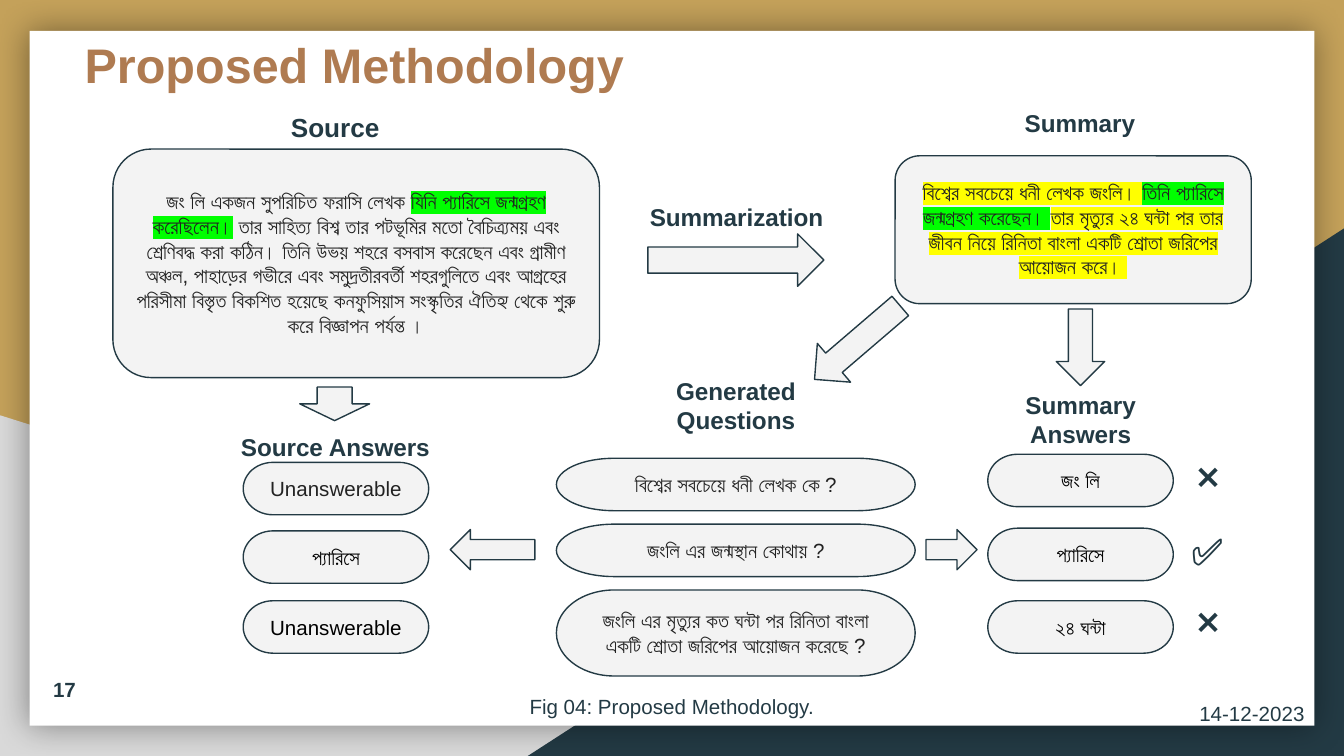
from lxml import etree
from pptx import Presentation
from pptx import util as u
from pptx.dml.color import RGBColor
from pptx.enum import shapes, text
from pptx.oxml import ns

PX = 9144
INK, PALE, GREY = "233A44", "F3F3F3", "222222"
LIME, SUN = "00FF00", "FFFF00"
KIND = shapes.MSO_SHAPE
hue = RGBColor.from_string


def draw(kind, box, fill=PALE, line=INK):
    item = page.shapes.add_shape(kind, *[n * PX for n in box])
    item.shadow.inherit = False
    item.fill.solid()
    item.fill.fore_color.rgb = hue(fill)
    if line:
        item.line.color.rgb = hue(line)
        item.line.width = u.Pt(0.75)
    else:
        item.line.fill.background()
    return item


def write(item, runs, size=11, bold=False, side=text.PP_ALIGN.CENTER,
          anchor=text.MSO_ANCHOR.MIDDLE, inset=10):
    frame = item.text_frame
    frame.word_wrap = True
    frame.auto_size = text.MSO_AUTO_SIZE.NONE
    frame.vertical_anchor = anchor
    frame.margin_left = frame.margin_right = inset * PX
    frame.margin_top = frame.margin_bottom = 10 * PX
    para = frame.paragraphs[0]
    para.alignment = side
    for words, color, mark in runs:
        run = para.add_run()
        run.text = words
        font = run.font
        font.size = u.Pt(size)
        font.bold = bold
        font.color.rgb = hue(color)
        props = run._r.get_or_add_rPr()
        if mark:
            high = etree.SubElement(props, ns.qn("a:highlight"))
            etree.SubElement(high, ns.qn("a:srgbClr"), val=mark)
        font.name = "Arial"
        for tag in ("a:ea", "a:cs"):
            etree.SubElement(props, ns.qn(tag), typeface="Arial")


deck = Presentation()
deck.slide_width = 1000 * PX
deck.slide_height = u.Inches(5.625)
page = deck.slides.add_slide(deck.slide_layouts[5])
page.background.fill.solid()
page.background.fill.fore_color.rgb = hue("C4A15A")

draw(KIND.RIGHT_TRIANGLE, (0, 309, 806, 254), "D9D9D9", None)
wedge = draw(KIND.RIGHT_TRIANGLE, (392, 170, 608, 393), INK, None)
wedge._element.spPr.find(ns.qn("a:xfrm")).set("flipH", "1")
sheet = draw(KIND.RECTANGLE, (22, 23, 956, 517), "FFFFFF", None)
glow = etree.SubElement(sheet._element.spPr.find(ns.qn("a:effectLst")),
                        ns.qn("a:outerShdw"), blurRad=str(u.Pt(18)), dist="0",
                        algn="ctr", rotWithShape="0")
shade = etree.SubElement(glow, ns.qn("a:srgbClr"), val="000000")
etree.SubElement(shade, ns.qn("a:alpha"), val="40000")

title = page.shapes.title
title.left, title.top, title.width, title.height = [n * PX for n in (53, 22, 447, 57)]
write(title, [("Proposed Methodology", "AF7B51", None)], 26, True,
      text.PP_ALIGN.LEFT, text.MSO_ANCHOR.BOTTOM)
page.shapes._spTree.append(title._element)

source = [
    ("জং লি একজন সুপরিচিত ফরাসি লেখক ", GREY, PALE),
    ("যিনি প্যারিসে জন্মগ্রহণ করেছিলেন।", GREY, LIME),
    (" তার সাহিত্য বিশ্ব তার পটভূমির মতো বৈচিত্র্যময় এবং শ্রেণিবদ্ধ করা কঠিন। "
     "তিনি উভয় শহরে বসবাস করেছেন এবং গ্রামীণ অঞ্চল, পাহাড়ের গভীরে এবং "
     "সমুদ্রতীরবর্তী শহরগুলিতে এবং আগ্রহের পরিসীমা বিস্তৃত বিকশিত হয়েছে "
     "কনফুসিয়াস সংস্কৃতির ঐতিহ্য থেকে শুরু করে বিজ্ঞাপন পর্যন্ত ।", GREY, PALE),
]
brief = [
    ("বিশ্বের সবচেয়ে ধনী লেখক জংলি। ", GREY, SUN),
    ("তিনি প্যারিসে জন্মগ্রহণ করেছেন। ", GREY, LIME),
    ("তার মৃত্যুর ২৪ ঘন্টা পর তার জীবন নিয়ে রিনিতা বাংলা একটি শ্রোতা জরিপের "
     "আয়োজন করে। ", GREY, SUN),
]
for box, runs in (((84, 111, 362, 170), source), ((666, 116, 265, 110), brief)):
    write(draw(KIND.ROUNDED_RECTANGLE, box), runs, inset=8)

arrows = [
    (KIND.RIGHT_ARROW, (482, 174, 131, 39), 0),
    (KIND.DOWN_ARROW, (223, 288, 52, 25), 0),
    (KIND.DOWN_ARROW, (786, 230, 36, 57), 0),
    (KIND.DOWN_ARROW, (619, 213, 38, 84), 49.4),
    (KIND.LEFT_ARROW, (335, 394, 63, 30), 0),
    (KIND.RIGHT_ARROW, (689, 394, 38, 30), 0),
]
for kind, box, turn in arrows:
    draw(kind, box).rotation = turn

BLACK = "000000"
columns = [
    (181, 138, [(344, 39, "Unanswerable", GREY), (395, 39, "প্যারিসে", BLACK),
                (447, 39, "Unanswerable", BLACK)]),
    (414, 267, [(341, 39, "বিশ্বের সবচেয়ে ধনী লেখক কে ?", GREY),
                (390, 39, "জংলি এর জন্মস্থান কোথায় ?", GREY),
                (439, 64, "জংলি এর মৃত্যুর কত ঘন্টা পর রিনিতা বাংলা একটি শ্রোতা "
                          "জরিপের আয়োজন করেছে ?", GREY)]),
    (735, 138, [(338, 39, "জং লি", BLACK), (393, 39, "প্যারিসে", BLACK),
                (447, 39, "২৪ ঘন্টা", BLACK)]),
]
for left, wide, cells in columns:
    for top, high, words, color in cells:
        pill = draw(KIND.FLOWCHART_TERMINATOR, (left, top, wide, high))
        write(pill, [(words, color, PALE)])

labels = [
    ("Source", (163, 82, 173, 25), 14, True),
    ("Summarization", (468, 149, 160, 25), 13, True),
    ("Summary", (717, 72, 173, 39), 13, True),
    ("Source Answers", (153, 320, 193, 25), 13, True),
    ("Generated Questions", (482, 273, 131, 57), 13, True),
    ("Summary Answers", (735, 306, 138, 12), 13, True),
    ("❌", (873, 329, 52, 50), 18, False),
    ("✅", (848, 388, 101, 44), 20, False),
    ("❌", (873, 440, 52, 44), 18, False),
    ("17", (21, 488, 54, 49), 11, True),
    ("14-12-2023", (879, 515, 105, 31), 11, False),
    ("Fig 04: Proposed Methodology.", (197, 513, 606, 25), 11, False),
]
for words, box, size, bold in labels:
    label = page.shapes.add_textbox(*[n * PX for n in box])
    write(label, [(words, INK, None)], size, bold)

deck.save("out.pptx")
